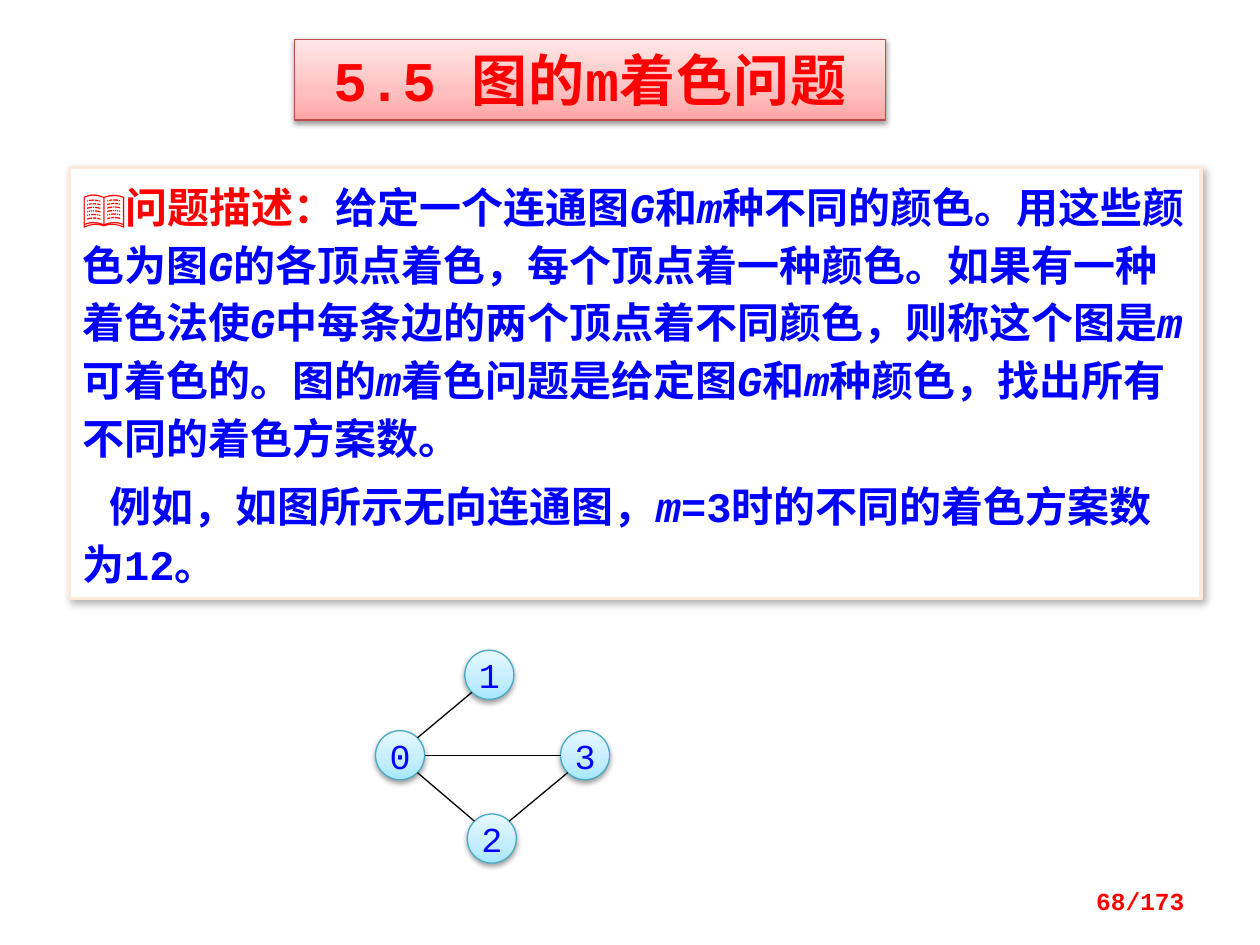
"""Build the slide that introduces the graph m-colouring problem."""
from dataclasses import dataclass
from math import cos, radians, sin

from lxml.etree import SubElement
from pptx import Presentation
from pptx.dml.color import RGBColor
from pptx.enum.shapes import MSO_CONNECTOR, MSO_SHAPE
from pptx.enum.text import MSO_ANCHOR, MSO_AUTO_SIZE, PP_ALIGN
from pptx.oxml.ns import qn
from pptx.util import Cm, Pt

COLORS = {
    "red": "FF0000", "blue": "0000FF", "black": "000000", "white": "FFFFFF",
    "title_line": "BF4C48", "body_line": "FDEADA", "node_line": "46AAC5",
}
TITLE_STOPS = ((0, "FFA6A5"), (35, "FFC0BF"), (100, "FFE7E7"))
NODE_STOPS = ((0, "A7E6FF"), (35, "C1EDFF"), (100, "E7F8FF"))
FONT = "Courier New"
NODE_SIZE = 0.99
LEAD = "📖问题描述："
DESCRIPTION = (
    "给定一个连通图*G*和*m*种不同的颜色。用这些颜色为图*G*的各顶点着色，"
    "每个顶点着一种颜色。如果有一种着色法使*G*中每条边的两个顶点着不同颜色，"
    "则称这个图是*m*可着色的。图的*m*着色问题是给定图*G*和*m*种颜色，"
    "找出所有不同的着色方案数。"
)
EXAMPLE = "例如，如图所示无向连通图，*m*=3时的不同的着色方案数为12。"


@dataclass(frozen=True)
class Node:
    label: str
    x: float
    y: float

    def rim(self, angle: float) -> tuple[Cm, Cm]:
        r = NODE_SIZE / 2
        return (Cm(self.x + r + r * cos(radians(angle))),
                Cm(self.y + r + r * sin(radians(angle))))


@dataclass(frozen=True)
class Edge:
    start: int
    start_angle: float
    end: int
    end_angle: float


@dataclass(frozen=True)
class Shadow:
    blur: float
    dist: float
    angle: int
    alpha: int


NODES = (Node("0", 7.57, 14.73), Node("1", 9.37, 13.11),
         Node("2", 9.42, 16.41), Node("3", 11.3, 14.73))
EDGES = (Edge(0, 0, 3, 180), Edge(0, -45, 1, 135),
         Edge(0, 45, 2, -135), Edge(3, 135, 2, -45))
SOFT = Shadow(3.1, 1.6, 90, 38)
WIDE = Shadow(4.5, 2.6, 53, 30)


def rgb(name: str) -> RGBColor:
    return RGBColor.from_string(COLORS[name])


def place(sp, x: float, y: float, w: float, h: float) -> None:
    sp.left, sp.top, sp.width, sp.height = Cm(x), Cm(y), Cm(w), Cm(h)


def set_line(sp, color: str, width: float) -> None:
    sp.line.color.rgb = rgb(color)
    sp.line.width = Pt(width)


def set_gradient(sp, stops: tuple) -> None:
    sp.fill.gradient()
    sp.fill.gradient_angle = 90
    gs_list = sp._element.spPr.find(".//" + qn("a:gsLst"))
    for gs in list(gs_list):
        gs_list.remove(gs)
    for pos, color in stops:
        gs = SubElement(gs_list, qn("a:gs"), pos=str(pos * 1000))
        SubElement(gs, qn("a:srgbClr"), val=color)


def set_shadow(sp, shadow: Shadow) -> None:
    sp.shadow.inherit = False
    effects = sp._element.spPr.find(qn("a:effectLst"))
    outer = SubElement(effects, qn("a:outerShdw"), blurRad=str(Pt(shadow.blur)),
                       dist=str(Pt(shadow.dist)), dir=str(shadow.angle * 60000),
                       rotWithShape="0")
    color = SubElement(outer, qn("a:srgbClr"), val=COLORS["black"])
    SubElement(color, qn("a:alpha"), val=str(shadow.alpha * 1000))


def add_run(p, text: str, size: float, color: str, bold: bool = False, italic: bool = False):
    r = p.add_run()
    r.text = text
    r.font.name, r.font.size = FONT, Pt(size)
    r.font.bold, r.font.italic = bold, italic
    r.font.color.rgb = rgb(color)
    return r


def add_marked(p, text: str) -> None:
    for i, part in enumerate(text.split("*")):
        add_run(p, part, 24, "blue", bold=True, italic=i % 2 == 1)


def format_body(p, indent: float, before: float) -> None:
    p.line_spacing, p.space_before = Pt(33), Pt(before)
    pPr = p._p.get_or_add_pPr()
    pPr.set("marL", "0")
    pPr.set("indent", str(Cm(indent)))
    SubElement(pPr, qn("a:buNone"))


def draw_title(sp) -> None:
    place(sp, 5.94, 0.79, 11.91, 1.63)
    set_gradient(sp, TITLE_STOPS)
    set_line(sp, "title_line", 0.75)
    set_shadow(sp, SOFT)
    tf = sp.text_frame
    tf.auto_size, tf.word_wrap = MSO_AUTO_SIZE.NONE, False
    p = tf.paragraphs[0]
    p.alignment = PP_ALIGN.CENTER
    r = add_run(p, "5.5 图的m着色问题", 32, "red", bold=True)
    r.font._element.set("spc", "50")


def draw_body(sp) -> None:
    place(sp, 1.4, 3.38, 22.81, 8.69)
    sp.fill.solid()
    sp.fill.fore_color.rgb = rgb("white")
    set_line(sp, "body_line", 2)
    set_shadow(sp, WIDE)
    tf = sp.text_frame
    tf.auto_size, tf.word_wrap = MSO_AUTO_SIZE.NONE, True
    p = tf.paragraphs[0]
    format_body(p, 0, 0)
    add_run(p, LEAD, 24, "red", bold=True)
    add_marked(p, DESCRIPTION)
    p = tf.add_paragraph()
    format_body(p, 0.56, 6)
    add_marked(p, EXAMPLE)


def draw_node(shapes, node: Node) -> None:
    sp = shapes.add_shape(MSO_SHAPE.OVAL, Cm(node.x), Cm(node.y), Cm(NODE_SIZE), Cm(NODE_SIZE))
    set_gradient(sp, NODE_STOPS)
    set_line(sp, "node_line", 0.75)
    set_shadow(sp, SOFT)
    tf = sp.text_frame
    tf.margin_left = tf.margin_right = tf.margin_top = tf.margin_bottom = 0
    tf.vertical_anchor = MSO_ANCHOR.TOP
    p = tf.paragraphs[0]
    p.alignment, p.line_spacing = PP_ALIGN.CENTER, Pt(22)
    add_run(p, node.label, 20, "blue")


def draw_edge(shapes, edge: Edge) -> None:
    cxn = shapes.add_connector(MSO_CONNECTOR.STRAIGHT,
                               *NODES[edge.start].rim(edge.start_angle),
                               *NODES[edge.end].rim(edge.end_angle))
    set_line(cxn, "black", 0.75)
    SubElement(cxn._element.spPr, qn("a:effectLst"))


def draw_page_number(shapes) -> None:
    sp = shapes.add_textbox(Cm(18.21), Cm(17.65), Cm(5.92), Cm(1.02))
    tf = sp.text_frame
    tf.word_wrap, tf.vertical_anchor = True, MSO_ANCHOR.MIDDLE
    p = tf.paragraphs[0]
    p.alignment = PP_ALIGN.RIGHT
    add_run(p, "68/173", 14, "red", bold=True)


def main() -> None:
    prs = Presentation()
    prs.slide_width, prs.slide_height = Cm(25.4), Cm(19.05)
    s = prs.slides.add_slide(prs.slide_layouts[1])
    draw_title(s.shapes.title)
    draw_body(s.placeholders[1])
    for node in NODES:
        draw_node(s.shapes, node)
    for edge in EDGES:
        draw_edge(s.shapes, edge)
    draw_page_number(s.shapes)
    prs.save("out.pptx")


if __name__ == "__main__":
    main()
